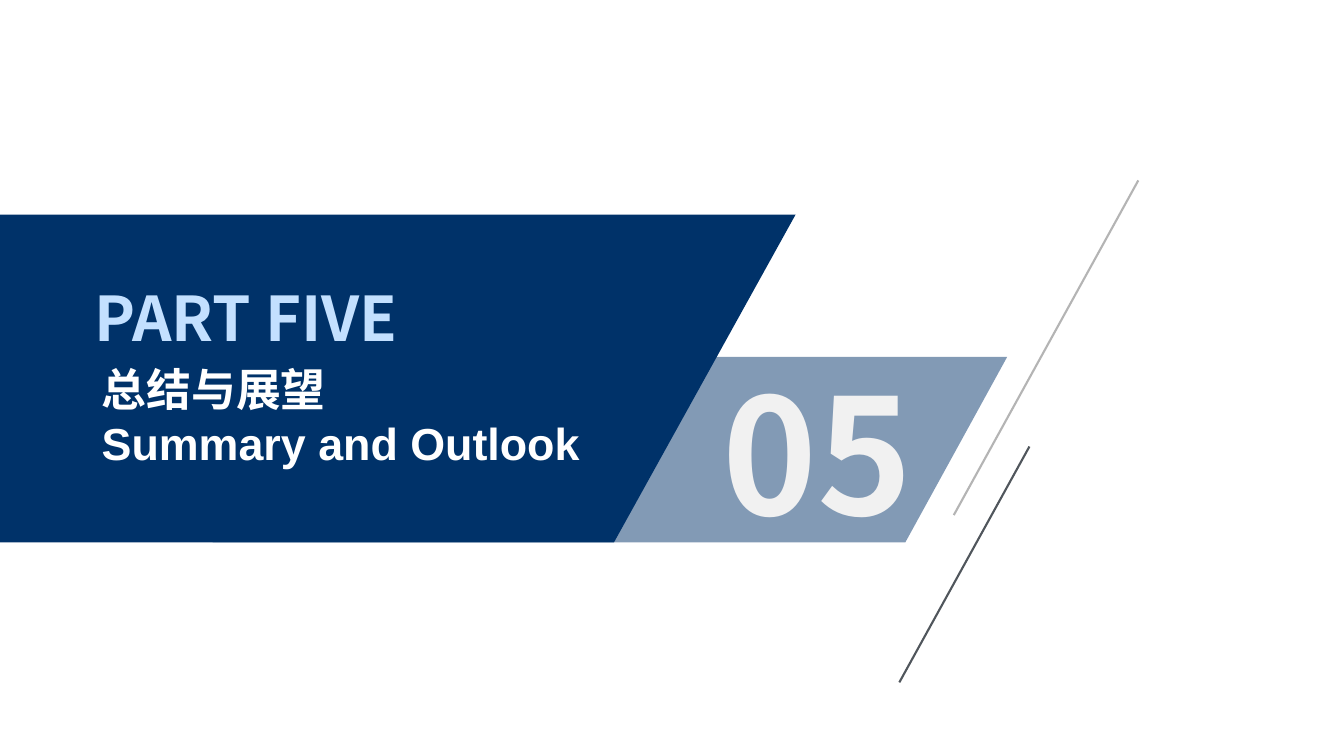
from dataclasses import dataclass

from lxml import etree
from pptx import Presentation
from pptx.dml import color as hue
from pptx.enum import shapes, text
from pptx.oxml import ns
from pptx.util import Inches, Pt


@dataclass(frozen=True)
class Theme:
    navy: str = "003269"
    sky: str = "C3E0FF"
    white: str = "FFFFFF"
    pale: str = "F1F1F1"
    dark: str = "50565C"
    grey: str = "B4B4B4"
    sans: str = "Arial"
    cjk: str = "Noto Sans CJK SC"
    head: int = 44
    title: int = 32
    digit: int = 115
    rule: float = 1.5


class Deck:
    """Draw the elements of a section slide in one theme."""

    def __init__(self, theme):
        self.theme = theme
        self.file = Presentation()
        self.file.slide_width = Inches(13.33)
        self.file.slide_height = Inches(7.5)
        self.slide = self.file.slides.add_slide(self.file.slide_layouts[6])

    def band(self, points, color, alpha=100):
        start, *rest = [(Inches(x), Inches(y)) for x, y in points]
        form = self.slide.shapes.build_freeform(*start)
        form.add_line_segments(rest, close=True)
        shape = form.convert_to_shape()
        shape.shadow.inherit = False
        shape.line.fill.background()
        shape.fill.solid()
        shape.fill.fore_color.rgb = hue.RGBColor.from_string(color)
        if alpha < 100:
            tone = shape._element.spPr.find(".//" + ns.qn("a:srgbClr"))
            etree.SubElement(tone, ns.qn("a:alpha"), val=str(alpha * 1000))

    def line(self, start, end, color):
        ends = [Inches(v) for v in (*start, *end)]
        line = self.slide.shapes.add_connector(shapes.MSO_CONNECTOR.STRAIGHT, *ends)
        line.line.color.rgb = hue.RGBColor.from_string(color)
        line.line.width = Pt(self.theme.rule)
        etree.SubElement(line._element.spPr, ns.qn("a:effectLst"))

    def label(self, place, lines, size, color, font, align=text.PP_ALIGN.LEFT):
        box = self.slide.shapes.add_textbox(*[Inches(v) for v in place])
        frame = box.text_frame
        frame.word_wrap = True
        for i, words in enumerate(lines):
            para = frame.add_paragraph() if i else frame.paragraphs[0]
            para.alignment = align
            run = para.add_run()
            run.text = words
            run.font.size = Pt(size)
            run.font.bold = True
            run.font.name = font
            run.font.color.rgb = hue.RGBColor.from_string(color)
            east = etree.SubElement(run.font._element, ns.qn("a:ea"))
            east.set("typeface", self.theme.cjk)


def main():
    theme = Theme()
    deck = Deck(theme)
    deck.band([(2.11, 3.54), (9.99, 3.54), (8.98, 5.38), (2.11, 5.38)], theme.navy, 49)
    deck.line((10.21, 4.43), (8.92, 6.77), theme.dark)
    deck.band([(0, 2.13), (7.89, 2.13), (6.09, 5.38), (0, 5.38)], theme.navy)
    deck.line((11.29, 1.79), (9.46, 5.11), theme.grey)
    deck.label((0.84, 2.73, 3.36, 0.84), ["PART FIVE"], theme.head, theme.sky, theme.cjk)
    deck.label((0.91, 3.54, 4.95, 1.18), ["总结与展望", "Summary and Outlook"],
               theme.title, theme.white, theme.sans)
    deck.label((6.94, 3.47, 2.34, 2.04), ["05"], theme.digit, theme.pale, theme.cjk,
               text.PP_ALIGN.CENTER)
    deck.file.save("out.pptx")


if __name__ == "__main__":
    main()
